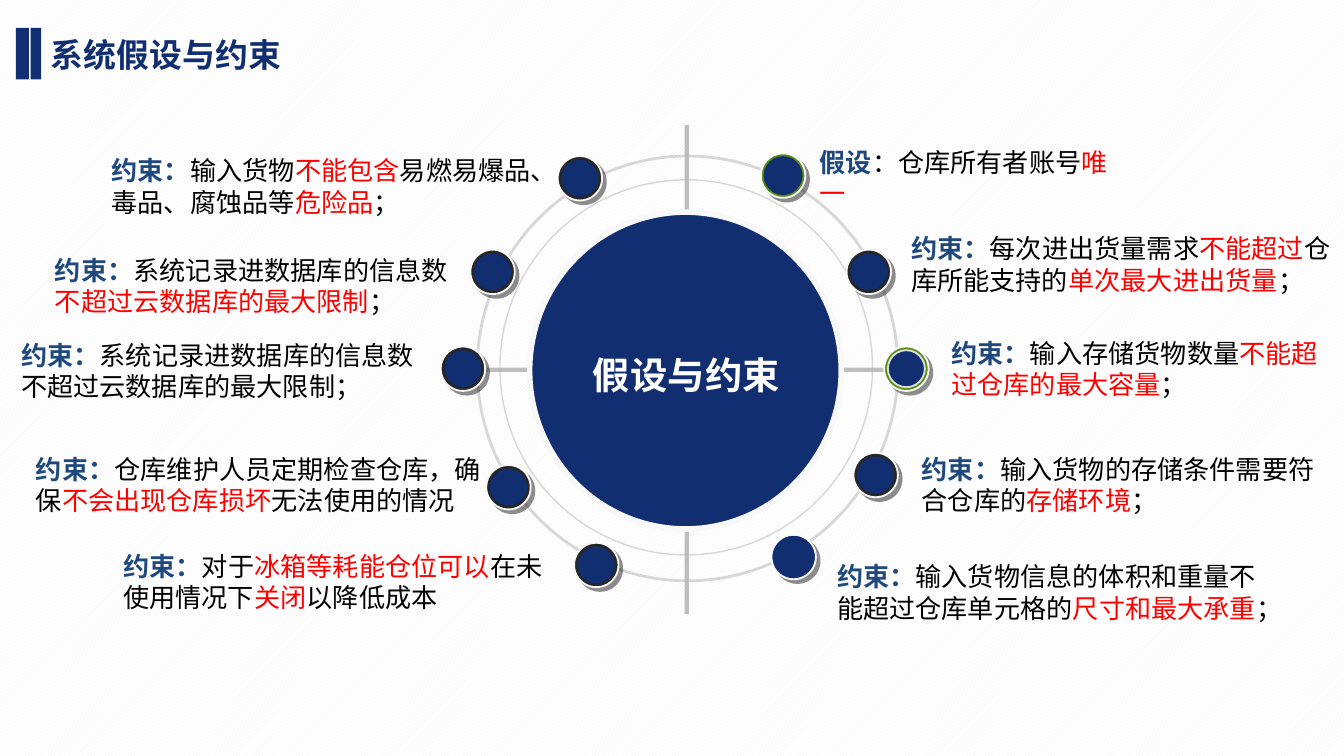
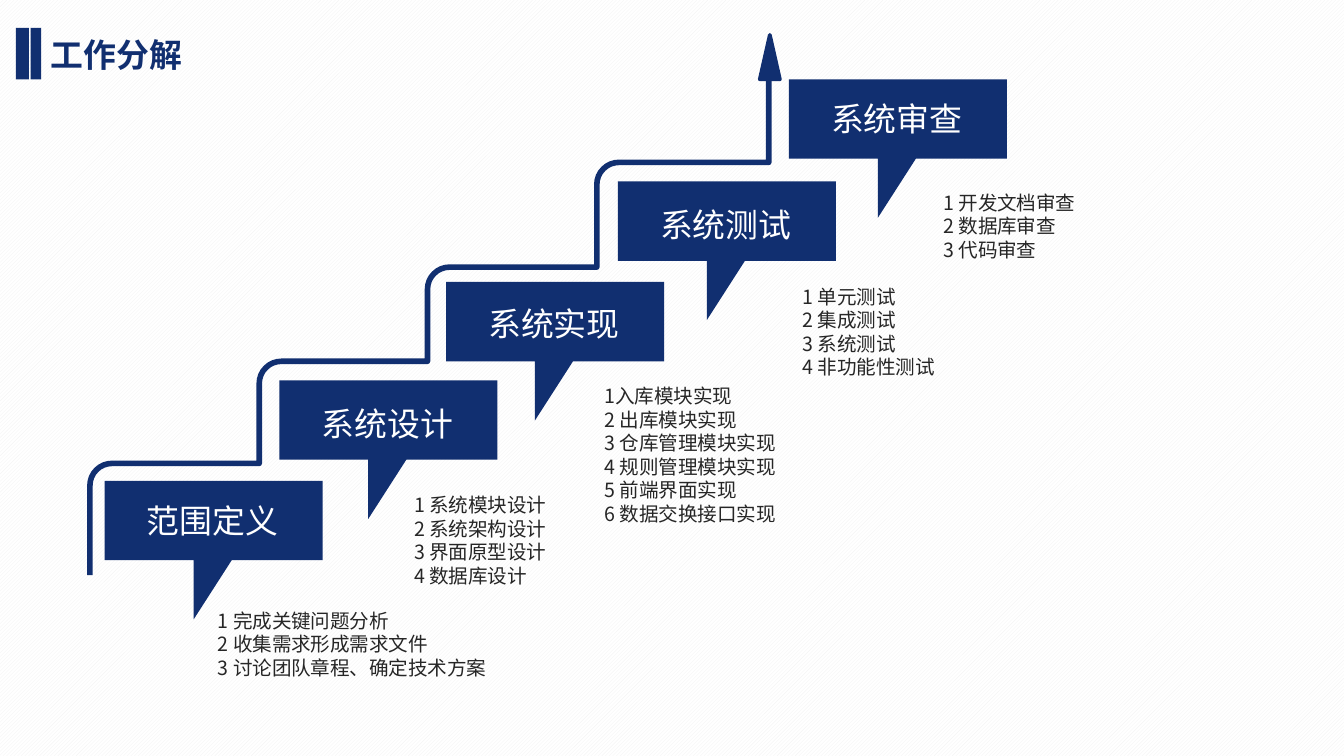
from math import cos, pi, sin
from lxml import etree
from pptx import Presentation
from pptx.dml.color import RGBColor
from pptx.enum.dml import MSO_PATTERN
from pptx.enum.shapes import MSO_CONNECTOR, MSO_SHAPE
from pptx.enum.text import MSO_ANCHOR, PP_ALIGN
from pptx.oxml.ns import qn
from pptx.util import Cm, Pt

NAVY = RGBColor(0x11, 0x2F, 0x70)
BLUE = RGBColor(0x1F, 0x49, 0x7D)
BLACK = RGBColor(0, 0, 0)
DARK = RGBColor(0x26, 0x26, 0x26)
RED = RGBColor(0xFF, 0, 0)
WHITE = RGBColor(0xFF, 0xFF, 0xFF)
PALE = RGBColor(0xF8, 0xF8, 0xF8)
MIST = RGBColor(0xF2, 0xF2, 0xF2)
GRAY = RGBColor(0x80, 0x80, 0x80)
SILVER = RGBColor(0xB2, 0xB2, 0xB2)
LIGHT = RGBColor(0xDD, 0xDD, 0xDD)
GREEN = RGBColor(0x56, 0x8D, 0x11)
SANS = "Noto Sans CJK SC"


def write(text, shape, size=10.5, font=SANS, hues=(DARK,), bold=False,
          align=PP_ALIGN.LEFT, anchor=MSO_ANCHOR.TOP, pad=(0.18, 0), space=None, wrap=True):
    frame = shape.text_frame
    frame.word_wrap = wrap
    frame.vertical_anchor = anchor
    frame.margin_left = frame.margin_right = Cm(pad[0])
    frame.margin_top = frame.margin_bottom = Cm(pad[1])
    for row, line in enumerate(text.split("\n")):
        para = frame.add_paragraph() if row else frame.paragraphs[0]
        para.alignment = align
        if space:
            para.line_spacing = space
        for part, hue in zip(line.split("|"), hues):
            run = para.add_run()
            run.text = part
            run.font.size = Pt(size)
            run.font.name = font
            run.font.bold = bold and hue == hues[0]
            run.font.color.rgb = hue
            etree.SubElement(run.font._element, qn("a:ea"), typeface=SANS)


def paint(shape, fill=None, line=None, width=1):
    shape.shadow.inherit = False
    if fill is None:
        shape.fill.background()
    else:
        shape.fill.solid()
        shape.fill.fore_color.rgb = fill
    if line is None:
        shape.line.fill.background()
    else:
        shape.line.color.rgb = line
        shape.line.width = Pt(width)
    return shape


deck = Presentation()
deck.slide_width, deck.slide_height = Cm(25.4), Cm(14.29)
pages = []
for title in ("系统假设与约束", "工作分解"):
    page = deck.slides.add_slide(deck.slide_layouts[6])
    back = page.background.fill
    back.patterned()
    back.pattern = MSO_PATTERN.LIGHT_UPWARD_DIAGONAL
    back.fore_color.rgb, back.back_color.rgb = MIST, WHITE
    box = page.shapes.add_textbox(Cm(0.71), Cm(0.53), Cm(6.15), Cm(1.02))
    write(title, box, size=17.6, hues=(NAVY,), bold=True, pad=(0.25, 0.13))
    for left, wide in ((0.3, 0.25), (0.58, 0.2)):
        paint(page.shapes.add_shape(MSO_SHAPE.RECTANGLE, Cm(left), Cm(0.53), Cm(wide), Cm(0.97)), NAVY)
    pages.append(page.shapes)
wheel, stairs = pages

faint = []
for ends in ((8.59, 6.99, 17.37, 6.99), (12.98, 2.36, 12.98, 11.61)):
    axis = wheel.add_connector(MSO_CONNECTOR.STRAIGHT, *map(Cm, ends))
    axis.line.color.rgb = GRAY
    axis.line.width = Pt(2.25)
    etree.SubElement(axis._element.spPr, qn("a:effectLst"))
    faint.append(axis)
for box, width in (((9.45, 3.4, 7.04, 7.09), 0.75), ((9.02, 2.95, 7.95, 8.03), 1.5)):
    ring = wheel.add_shape(MSO_SHAPE.OVAL, *map(Cm, box))
    faint.append(paint(ring, line=SILVER, width=width))
for item in faint:
    hue = item._element.spPr.find(".//" + qn("a:srgbClr"))
    etree.SubElement(hue, qn("a:alpha"), val="50000")

for box, edge in (((10.01, 4.01, 5.89, 5.99), PALE), ((10.26, 4.24, 5.38, 5.51), None),
                  ((11.25, 5.31, 3.45, 3.53), None)):
    hub = paint(wheel.add_shape(MSO_SHAPE.OVAL, *map(Cm, box)), NAVY, edge, 3)
write("假设与约束", hub, size=20, font="Arial", hues=(WHITE,), bold=True,
      align=PP_ALIGN.CENTER, anchor=MSO_ANCHOR.MIDDLE, wrap=False)

rules = (
    ((15.29, 2.95, 6.32, 0.81), (14.38, 2.9), GREEN, NAVY, "假设|：仓库所有者账号|唯一"),
    ((17.02, 4.29, 8.79, 1.4), (16, 4.72), DARK, None,
     "约束：|每次进出货量需求|不能超过|仓库所能支持的|单次最大进出货量|；"),
    ((17.78, 6.27, 7.52, 1.4), (16.71, 6.55), GREEN, LIGHT,
     "约束：|输入存储货物数量|不能超过仓库的最大容量|；"),
    ((17.22, 8.46, 8.1, 1.4), (16.13, 8.56), DARK, None,
     "约束：|输入货物的存储条件需要符合仓库的|存储环境|；"),
    ((15.62, 10.49, 8.41, 1.4), (14.58, 10.11), NAVY, None,
     "约束：|输入货物信息的体积和重量不能超过仓库单元格的|尺寸和最大承重|；"),
    ((1.91, 2.82, 8.79, 1.4), (10.54, 2.95), DARK, None,
     "约束：|输入货物|不能包含|易燃易爆品、毒品、腐蚀品等|危险品|；"),
    ((0.84, 4.7, 8.03, 1.4), (8.89, 4.72), DARK, None,
     "约束：|系统记录进数据库的信息数|不超过云数据库的最大限制|；"),
    ((0.2, 6.3, 7.92, 1.4), (8.33, 6.55), DARK, None,
     "约束：|系统记录进数据库的信息数不超过云数据库的最大限制；"),
    ((0.48, 8.46, 9.07, 1.4), (9.19, 8.79), DARK, None,
     "约束：|仓库维护人员定期检查仓库，确保|不会出现仓库损坏|无法使用的情况"),
    ((2.13, 10.29, 8.41, 1.4), (10.85, 10.26), DARK, None,
     "约束：|对于|冰箱等耗能仓位可以|在未使用情况下|关闭|以降低成本"),
)
for box, (left, top), rim, edge, text in rules:
    write(text, wheel.add_textbox(*map(Cm, box)), size=14, font="Arial", bold=True,
          hues=(BLUE, BLACK, RED, BLACK, RED, BLACK), anchor=MSO_ANCHOR.MIDDLE, pad=(0.2, 0.1))
    dot = paint(wheel.add_shape(MSO_SHAPE.OVAL, Cm(left), Cm(top), Cm(0.84), Cm(0.84)), rim, PALE)
    shade = etree.SubElement(dot._element.spPr.find(qn("a:effectLst")), qn("a:outerShdw"),
                             dist=str(Pt(2.8)), dir="2700000", algn="ctr", rotWithShape="0")
    hue = etree.SubElement(shade, qn("a:srgbClr"), val="1C1C1C")
    etree.SubElement(hue, qn("a:alpha"), val="50000")
    core = wheel.add_shape(MSO_SHAPE.OVAL, Cm(left + 0.07), Cm(top + 0.07), Cm(0.7), Cm(0.7))
    paint(core, NAVY, edge)

bend = 0.42
turns = ((1.7, 8.76), (4.9, 6.83), (8.08, 5.05), (11.28, 3.07))
track = []
for (left, top), right in zip(turns, (4.9, 8.08, 11.28, 14.53)):
    for step in range(9):
        angle = step * pi / 16
        track.append((Cm(left + bend - bend * cos(angle)), Cm(top + bend - bend * sin(angle))))
    track.append((Cm(right), Cm(top)))
track.append((Cm(14.53), Cm(1.09)))
route = stairs.build_freeform(Cm(1.7), Cm(10.87))
route.add_line_segments(track, close=False)
path = paint(route.convert_to_shape(), line=NAVY, width=3)
tip = stairs.add_shape(MSO_SHAPE.ISOSCELES_TRIANGLE, Cm(14.36), Cm(0.66), Cm(0.38), Cm(0.84))
paint(tip, NAVY, NAVY, 2)
for item in (path, tip):
    etree.SubElement(item._element.spPr.find(qn("a:ln")), qn("a:round"))

form = ((4.12, 0), (4.12, 1.5), (2.4, 1.5), (1.68, 2.62), (1.68, 1.5), (0, 1.5))
stages = (
    ("范围定义", 1.98, 9.09, 0.51, (3.94, 11.51, 6.1, 1.04),
     "1 完成关键问题分析\n2 收集需求形成需求文件\n3 讨论团队章程、确定技术方案"),
    ("系统设计", 5.28, 7.19, 0.58, (7.65, 9.32, 3.89, 1.96),
     "1 系统模块设计\n2 系统架构设计\n3 界面原型设计\n4 数据库设计"),
    ("系统实现", 8.43, 5.33, 0.56, (11.25, 7.26, 6.1, 1.04),
     "1入库模块实现\n2 出库模块实现\n3 仓库管理模块实现\n4 规则管理模块实现\n"
     "5 前端界面实现\n6 数据交换接口实现"),
    ("系统测试", 11.68, 3.43, 0.58, (14.99, 5.38, 6.1, 1.04),
     "1 单元测试\n2 集成测试\n3 系统测试\n4 非功能性测试"),
    ("系统审查", 14.91, 1.5, 0.51, (17.65, 3.61, 6.1, 1.04),
     "1 开发文档审查\n2 数据库审查\n3 代码审查"),
)
for name, left, top, drop, box, tasks in stages:
    sign = stairs.build_freeform(Cm(left), Cm(top))
    sign.add_line_segments([(Cm(left + x), Cm(top + y)) for x, y in form])
    paint(sign.convert_to_shape(), NAVY)
    label = stairs.add_textbox(Cm(left - 0.03), Cm(top + drop), Cm(4.14), Cm(0.48))
    write(name, label, size=17.6, hues=(WHITE,), align=PP_ALIGN.CENTER, space=0.8)
    write(tasks, stairs.add_textbox(*map(Cm, box)))

deck.save("out.pptx")
